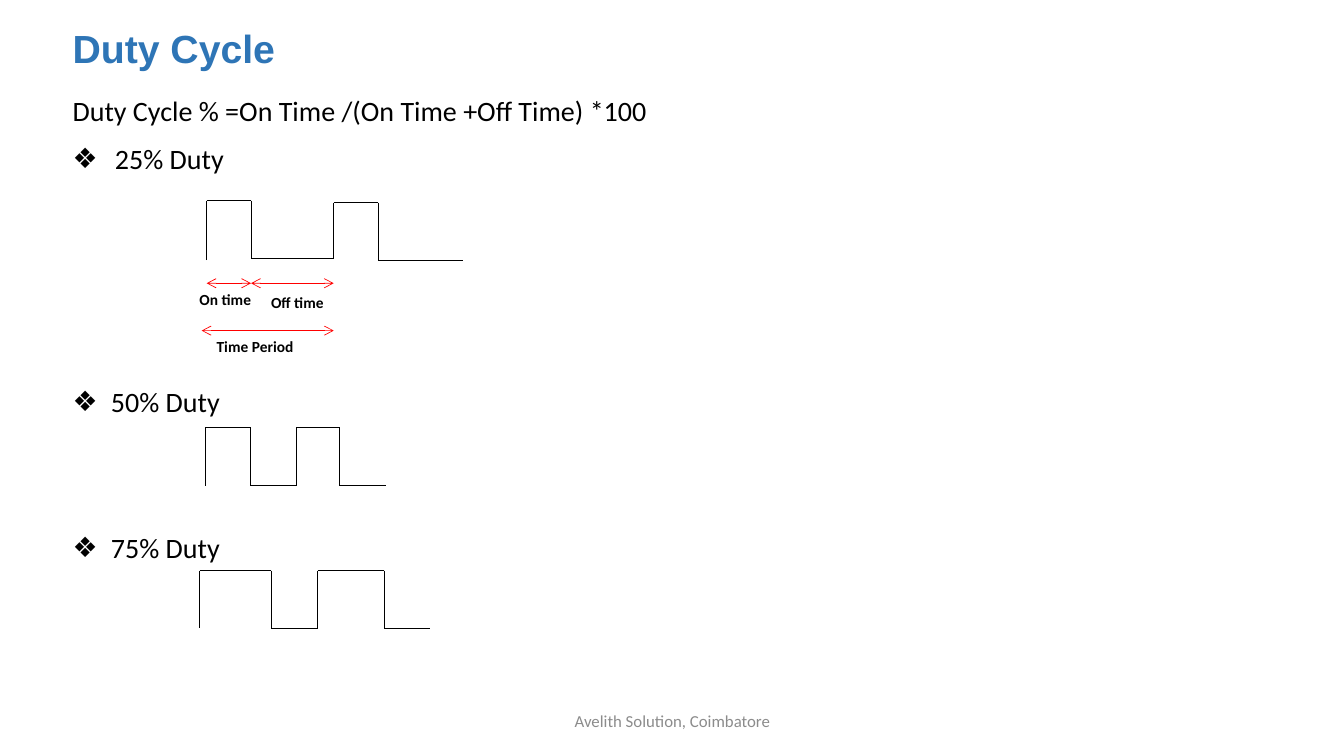
from itertools import pairwise

from lxml import etree
from pptx import Presentation
from pptx import util as u
from pptx.dml.color import RGBColor
from pptx.enum import shapes, text
from pptx.oxml import ns

BLACK = RGBColor(0x00, 0x00, 0x00)
RED = RGBColor(0xFF, 0x00, 0x00)
BLUE = RGBColor(0x2E, 0x75, 0xB6)
GREY = RGBColor(0x8C, 0x8C, 0x8C)


class DutySlide:
    """Holds the style and the current slide, and draws each kind of element."""

    line_width = u.Pt(0.5)
    body_font = "Calibri"
    title_font = "Arial"

    def __init__(self, deck):
        self.page = deck.slides.add_slide(deck.slide_layouts[1])

    def place(self, shape, left, top, width, height):
        shape.left, shape.top = u.Inches(left), u.Inches(top)
        shape.width, shape.height = u.Inches(width), u.Inches(height)

    def add_span(self, para, words, size, color, font=body_font, bold=False):
        span = para.add_run()
        span.text = words
        span.font.name = font
        span.font.size = u.Pt(size)
        span.font.bold = bold
        span.font.color.rgb = color

    def title(self, words, *place):
        box = self.page.shapes.title
        self.place(box, *place)
        frame = box.text_frame
        frame.auto_size = text.MSO_AUTO_SIZE.NONE
        frame.vertical_anchor = text.MSO_ANCHOR.BOTTOM
        para = frame.paragraphs[0]
        para.alignment = text.PP_ALIGN.LEFT
        para.line_spacing = 0.9
        self.add_span(para, words, 28, BLUE, self.title_font, True)

    def body(self, items, *place):
        box = self.page.placeholders[1]
        self.place(box, *place)
        frame = box.text_frame
        frame.auto_size = text.MSO_AUTO_SIZE.NONE
        for index, (words, indent, before) in enumerate(items):
            para = frame.add_paragraph() if index else frame.paragraphs[0]
            para.alignment = text.PP_ALIGN.JUSTIFY
            para.line_spacing = 0.94
            para.space_before = u.Pt(before)
            para.space_after = u.Pt(2)
            self.bullet(para, indent)
            self.add_span(para, words, 20, BLACK)

    def bullet(self, para, indent):
        props = para._p.get_or_add_pPr()
        props.set("marL", str(u.Inches(indent)))
        props.set("indent", str(-u.Inches(indent)))
        if indent:
            etree.SubElement(props, ns.qn("a:buChar")).set("char", "❖")
        else:
            etree.SubElement(props, ns.qn("a:buNone"))

    def label(self, words, *place, size=11, color=BLACK, bold=True,
              align=text.PP_ALIGN.LEFT, wrap=True):
        box = self.page.shapes.add_textbox(*map(u.Inches, place))
        frame = box.text_frame
        frame.word_wrap = wrap
        frame.vertical_anchor = text.MSO_ANCHOR.MIDDLE
        para = frame.paragraphs[0]
        para.alignment = align
        self.add_span(para, words, size, color, bold=bold)

    def line(self, *ends, color=BLACK):
        line = self.page.shapes.add_connector(
            shapes.MSO_CONNECTOR.STRAIGHT, *map(u.Inches, ends))
        line.line.color.rgb = color
        line.line.width = self.line_width
        etree.SubElement(line._element.spPr, ns.qn("a:effectLst"))
        return line

    def span_arrow(self, left, right, y):
        arrow = self.line(left, y, right, y, color=RED)
        outline = arrow.line._get_or_add_ln()
        for end in ("a:headEnd", "a:tailEnd"):
            etree.SubElement(outline, ns.qn(end)).set("type", "arrow")

    def wave(self, edges, levels):
        previous = levels[-1]
        for (left, right), level in zip(pairwise(edges), levels):
            self.line(left, previous, left, level)
            self.line(left, level, right, level)
            previous = level


def main():
    deck = Presentation()
    deck.slide_width, deck.slide_height = u.Inches(13.33), u.Inches(7.5)
    slide = DutySlide(deck)

    slide.title("Duty Cycle", 0.62, 0.24, 10.79, 0.52)
    slide.body([
        ("Duty Cycle % =On Time /(On Time +Off Time) *100", 0, 10),
        ("25% Duty", 0.42, 10),
        ("50% Duty", 0.38, 149),
        ("75% Duty", 0.38, 79.5),
    ], 0.62, 0.9, 9.3, 6.23)

    slide.wave((2.05, 2.49, 3.31, 3.75, 4.59), (1.99, 2.56, 2.01, 2.58))
    slide.wave((2.04, 2.48, 2.94, 3.37, 3.83), (4.24, 4.82) * 2)
    slide.wave((1.98, 2.69, 3.15, 3.81, 4.27), (5.66, 6.23) * 2)

    slide.span_arrow(2.05, 2.49, 2.81)
    slide.span_arrow(2.49, 3.31, 2.81)
    slide.span_arrow(2, 3.31, 3.28)
    slide.label("On time", 1.88, 2.82, 0.72, 0.29, wrap=False)
    slide.label("Off time", 2.59, 2.85, 0.74, 0.29, wrap=False)
    slide.label("Time Period", 2.05, 3.29, 1.31, 0.29)
    slide.label("Avelith Solution, Coimbatore", 4.42, 6.95, 4.5, 0.4,
                size=12, color=GREY, bold=False, align=text.PP_ALIGN.CENTER)

    deck.save("out.pptx")


if __name__ == "__main__":
    main()
